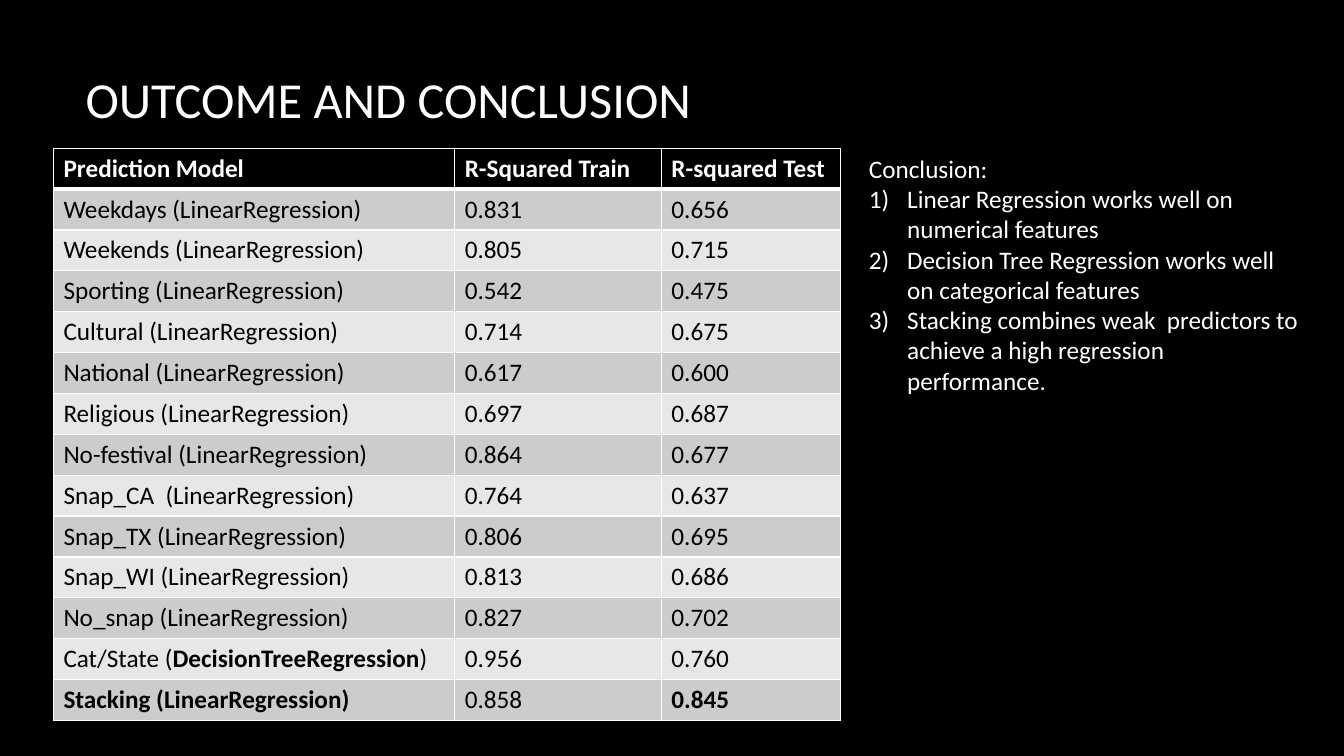
from dataclasses import dataclass

from lxml.etree import SubElement
from pptx import Presentation
from pptx.dml.color import RGBColor
from pptx.enum.text import MSO_ANCHOR
from pptx.oxml.ns import qn
from pptx.util import Inches, Pt


@dataclass(frozen=True)
class Theme:
    font: str = "Calibri"
    title_size: int = 36
    body_size: int = 18
    black: RGBColor = RGBColor(0x00, 0x00, 0x00)
    white: RGBColor = RGBColor(0xFF, 0xFF, 0xFF)
    bands: tuple = (RGBColor(0xCC, 0xCC, 0xCC), RGBColor(0xE7, 0xE7, 0xE7))
    thin_line: int = 1
    thick_line: int = 3


THEME = Theme()

HEADERS = ("Prediction Model", "R-Squared Train", "R-squared Test")
LINEAR_SCORES = (
    ("Weekdays ", "0.831", "0.656"),
    ("Weekends ", "0.805", "0.715"),
    ("Sporting ", "0.542", "0.475"),
    ("Cultural ", "0.714", "0.675"),
    ("National ", "0.617", "0.600"),
    ("Religious ", "0.697", "0.687"),
    ("No-festival ", "0.864", "0.677"),
    ("Snap_CA  ", "0.764", "0.637"),
    ("Snap_TX ", "0.806", "0.695"),
    ("Snap_WI ", "0.813", "0.686"),
    ("No_snap ", "0.827", "0.702"),
)
CONCLUSIONS = (
    "Linear Regression works well on numerical features",
    "Decision Tree Regression works well on categorical features",
    "Stacking combines weak  predictors to achieve a high regression performance.",
)


def score_rows():
    """Return table rows; each cell is a list of (text, bold) runs."""
    rows = [
        [[(f"{name}(LinearRegression)", False)], [(train, False)], [(test, False)]]
        for name, train, test in LINEAR_SCORES
    ]
    tree_name = [("Cat/State (", False), ("DecisionTreeRegression", True), (")", False)]
    rows.append([tree_name, [("0.956", False)], [("0.760", False)]])
    rows.append([
        [("Stacking (LinearRegression)", True)], [("0.858", False)], [("0.845", True)],
    ])
    return rows


def add_span(para, text, color, size=THEME.body_size, bold=False):
    span = para.add_run()
    span.text = text
    span.font.name = THEME.font
    span.font.size = Pt(size)
    span.font.bold = bold
    span.font.color.rgb = color


def add_text_box(page, left, top, width, height, anchor=MSO_ANCHOR.TOP):
    box = page.shapes.add_textbox(Inches(left), Inches(top), Inches(width), Inches(height))
    box.text_frame.word_wrap = True
    box.text_frame.vertical_anchor = anchor
    return box.text_frame


def number_paragraph(para):
    """Give a paragraph a hanging indent and automatic numbering."""
    properties = para._p.get_or_add_pPr()
    properties.set("marL", str(Inches(0.38)))
    properties.set("indent", str(-Inches(0.38)))
    SubElement(properties, qn("a:buFont"), typeface="+mj-lt")
    SubElement(properties, qn("a:buAutoNum"), type="arabicParenR")


def set_borders(cell, top, bottom):
    """Draw white cell borders; call before the fill, which must follow them."""
    properties = cell._tc.get_or_add_tcPr()
    widths = {"lnL": THEME.thin_line, "lnR": THEME.thin_line, "lnT": top, "lnB": bottom}
    for side, width in widths.items():
        line = SubElement(properties, qn(f"a:{side}"), w=str(Pt(width)))
        fill = SubElement(line, qn("a:solidFill"))
        SubElement(fill, qn("a:srgbClr"), val=str(THEME.white))


def fill_cell(cell, runs, fill, color, top=THEME.thin_line, bottom=THEME.thin_line):
    set_borders(cell, top, bottom)
    cell.fill.solid()
    cell.fill.fore_color.rgb = fill
    for text, bold in runs:
        add_span(cell.text_frame.paragraphs[0], text, color, bold=bold)


def add_score_table(page):
    rows = score_rows()
    row_count = len(rows) + 1
    table = page.shapes.add_table(
        row_count, len(HEADERS), Inches(0.53), Inches(1.47), Inches(7.81), Inches(5.68)
    ).table
    for column, width in zip(table.columns, (3.98, 2.05, 1.78)):
        column.width = Inches(width)
    for row in table.rows:
        row.height = Inches(5.68 / row_count)
    for column, header in enumerate(HEADERS):
        fill_cell(table.cell(0, column), [(header, True)], THEME.black, THEME.white,
                  bottom=THEME.thick_line)
    for index, row in enumerate(rows):
        top = THEME.thick_line if index == 0 else THEME.thin_line
        for column, runs in enumerate(row):
            fill_cell(table.cell(index + 1, column), runs, THEME.bands[index % 2],
                      THEME.black, top=top)


def add_title(page):
    frame = add_text_box(page, 0.75, 0.18, 11.08, 1.59, MSO_ANCHOR.MIDDLE)
    add_span(frame.paragraphs[0], "OUTCOME AND CONCLUSION", THEME.white, THEME.title_size)


def add_conclusion(page):
    frame = add_text_box(page, 8.52, 1.47, 4.46, 2.52)
    add_span(frame.paragraphs[0], "Conclusion:", THEME.white)
    for conclusion in CONCLUSIONS:
        para = frame.add_paragraph()
        number_paragraph(para)
        add_span(para, conclusion, THEME.white)


def main():
    deck = Presentation()
    deck.slide_width = Inches(13.33)
    deck.slide_height = Inches(7.5)
    page = deck.slides.add_slide(deck.slide_layouts[6])
    page.background.fill.solid()
    page.background.fill.fore_color.rgb = THEME.black
    add_score_table(page)
    add_conclusion(page)
    add_title(page)
    deck.save("out.pptx")


if __name__ == "__main__":
    main()
